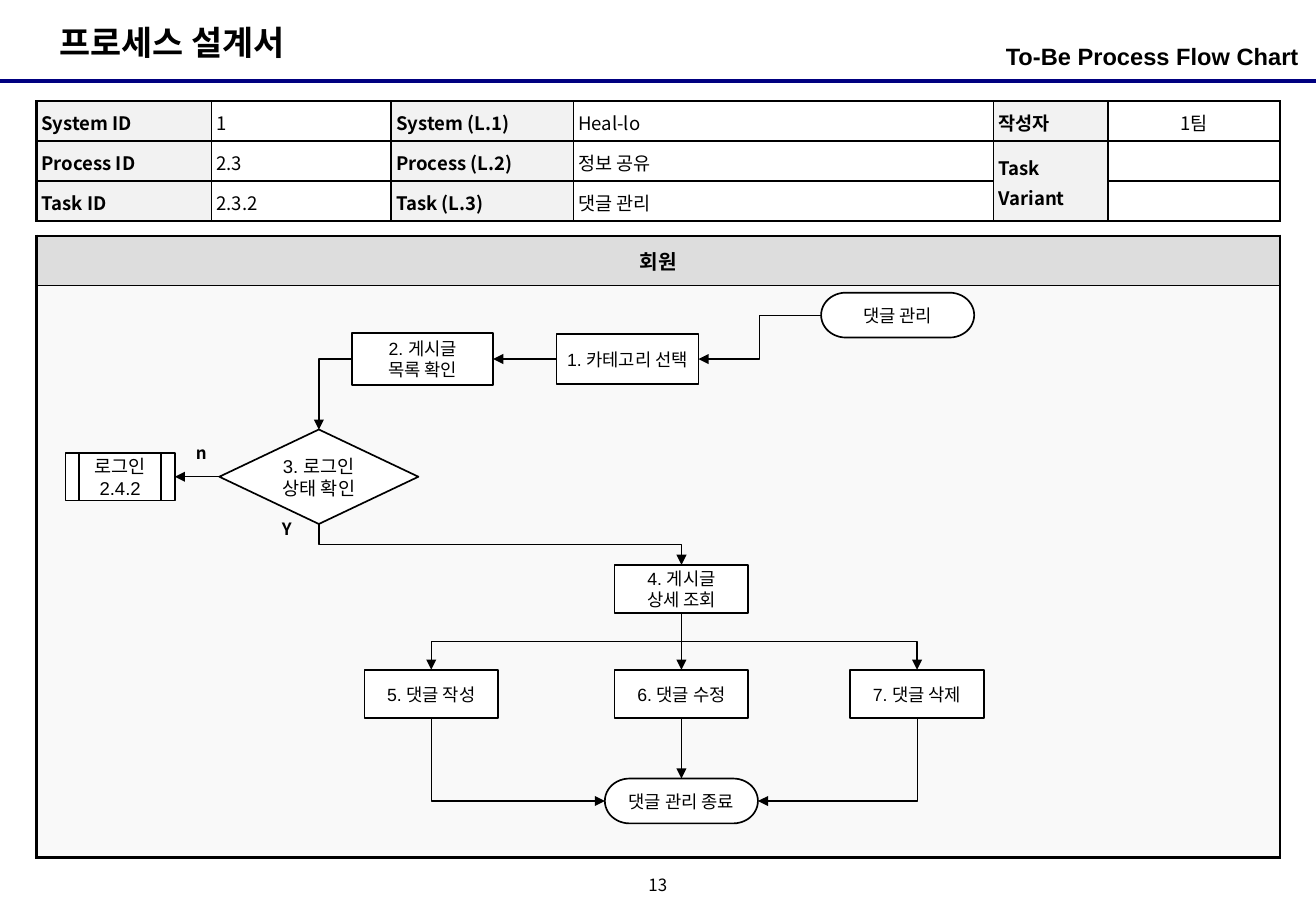
from dataclasses import dataclass

from lxml.etree import SubElement
from pptx import Presentation
from pptx.dml.color import RGBColor
from pptx.enum.shapes import MSO_CONNECTOR as Connector, MSO_SHAPE as Preset
from pptx.enum.text import MSO_ANCHOR as Anchor, MSO_AUTO_SIZE as AutoSize, PP_ALIGN as Align
from pptx.oxml.ns import qn
from pptx.util import Pt


@dataclass(frozen=True)
class Theme:
    ink: str = "000000"
    paper: str = "FFFFFF"
    rule: str = "000080"
    label_fill: str = "F2F2F2"
    lane_head: str = "DDDDDD"
    lane_body: str = "F9F9F9"
    sans: str = "Arial"
    korean: str = "Noto Sans CJK KR"
    title: float = 20
    subtitle: float = 14
    lane: float = 12
    info: float = 11
    step: float = 10.5
    small: float = 10


THEME = Theme()
TOP, LEFT, BOTTOM, RIGHT = range(4)
TABLE_LEFT = 21.6
INFO_COLUMNS = (103.7, 106.6, 108, 249.1, 67.7, 102.2)
INFO_ROWS = (
    ("System ID", "1", "System (L.1)", "Heal-lo", "작성자", "1팀"),
    ("Process ID", "2.3", "Process (L.2)", "정보 공유", "Task Variant", ""),
    ("Task ID", "2.3.2", "Task (L.3)", "댓글 관리", "", ""),
)
TERMINAL_SIZE = (90.7, 26.6)
TASK_SIZE = (79.2, 28.8)
MIDDLE_X = 403.9
ENTRY_Y, LOGIN_Y, TASK_Y = 212.8, 282.6, 411.4
STEPS = {
    "start": (Preset.FLOWCHART_TERMINATOR, "댓글 관리", 532.1, 186.8, TERMINAL_SIZE),
    "category": (Preset.RECTANGLE, "1. 카테고리 선택", 371.9, ENTRY_Y, (84.2, 29.5)),
    "posts": (Preset.RECTANGLE, "2. 게시글\n목록 확인", 250.6, ENTRY_Y, (83.5, 31)),
    "check": (Preset.FLOWCHART_DECISION, "3. 로그인\n상태 확인", 189, LOGIN_Y, (118, 56)),
    "login": (Preset.FLOWCHART_PREDEFINED_PROCESS, "로그인\n2.4.2", 71.3, LOGIN_Y, (64.8, 28.1)),
    "detail": (Preset.RECTANGLE, "4. 게시글\n상세 조회", MIDDLE_X, 349.2, TASK_SIZE),
    "write": (Preset.RECTANGLE, "5. 댓글 작성", 255.6, TASK_Y, TASK_SIZE),
    "edit": (Preset.RECTANGLE, "6. 댓글 수정", MIDDLE_X, TASK_Y, TASK_SIZE),
    "delete": (Preset.RECTANGLE, "7. 댓글 삭제", 543.6, TASK_Y, TASK_SIZE),
    "end": (Preset.FLOWCHART_TERMINATOR, "댓글 관리 종료", MIDDLE_X, 474.8, TERMINAL_SIZE),
}
STRAIGHT_FLOWS = (
    ("category", LEFT, "posts", RIGHT),
    ("check", LEFT, "login", RIGHT),
    ("detail", BOTTOM, "edit", TOP),
    ("edit", BOTTOM, "end", TOP),
)
BENT_FLOWS = (
    ("start", LEFT, "category", RIGHT),
    ("posts", LEFT, "check", TOP),
    ("check", BOTTOM, "detail", TOP),
    ("detail", BOTTOM, "write", TOP),
    ("detail", BOTTOM, "delete", TOP),
    ("write", BOTTOM, "end", LEFT),
    ("delete", BOTTOM, "end", RIGHT),
)


def set_text(frame, text, size, bold=False, align=Align.LEFT, latin=THEME.korean, spacing=None):
    frame.text = text
    for paragraph in frame.paragraphs:
        paragraph.alignment = align
        paragraph.line_spacing = spacing
        font = paragraph.font
        font.size, font.bold, font.name = Pt(size), bold, latin
        font.color.rgb = RGBColor.from_string(THEME.ink)
        defaults = paragraph._p.pPr.find(qn("a:defRPr"))
        SubElement(defaults, qn("a:ea"), typeface=THEME.korean)
        if not text:
            SubElement(paragraph._p, qn("a:endParaRPr"), sz=str(int(size * 100)))


def set_insets(holder, horizontal, vertical):
    holder.margin_left = holder.margin_right = Pt(horizontal)
    holder.margin_top = holder.margin_bottom = Pt(vertical)


def add_label(slide, text, box, size, bold=True, align=Align.LEFT, latin=THEME.korean,
              insets=(7.2, 3.6), anchor=Anchor.TOP):
    frame = slide.shapes.add_textbox(*map(Pt, box)).text_frame
    frame.word_wrap = True
    frame.vertical_anchor = anchor
    set_insets(frame, *insets)
    set_text(frame, text, size, bold, align, latin)


def set_title(slide, text):
    title = slide.shapes.title
    title.left, title.top, title.width, title.height = map(Pt, (28, 9.4, 162, 31.7))
    frame = title.text_frame
    frame.word_wrap = False
    frame.auto_size = AutoSize.NONE
    frame.vertical_anchor = Anchor.TOP
    set_insets(frame, 7.2, 3.6)
    set_text(frame, text, THEME.title, True)


def style_line(connector, color, width):
    connector.line.color.rgb = RGBColor.from_string(color)
    connector.line.width = Pt(width)
    SubElement(connector.element.spPr, qn("a:effectLst"))


def add_table(slide, top, widths, heights):
    frame = slide.shapes.add_table(len(heights), len(widths), Pt(TABLE_LEFT), Pt(top),
                                   Pt(sum(widths)), Pt(sum(heights)))
    table = frame.table
    table.first_row = table.horz_banding = False
    for column, width in zip(table.columns, widths):
        column.width = Pt(width)
    for row, height in zip(table.rows, heights):
        row.height = Pt(height)
    return table


def style_cell(table, row, column, fill, inner):
    cell = table.cell(row, column)
    outer = {
        "L": column == 0,
        "R": column == len(table.columns) - 1,
        "T": row == 0,
        "B": row == len(table.rows) - 1,
    }
    properties = cell._tc.get_or_add_tcPr()
    for side, is_outer in outer.items():
        width = Pt(1.5 if is_outer else inner)
        line = SubElement(properties, qn(f"a:ln{side}"), w=str(int(width)))
        paint = SubElement(line, qn("a:solidFill"))
        SubElement(paint, qn("a:srgbClr"), val=THEME.ink)
    cell.fill.solid()
    cell.fill.fore_color.rgb = RGBColor.from_string(fill)
    cell.vertical_anchor = Anchor.MIDDLE
    return cell


def add_lane(slide, name):
    table = add_table(slide, 139.7, (sum(INFO_COLUMNS),), (29.5, 339.1))
    head = style_cell(table, 0, 0, THEME.lane_head, 0.75)
    set_text(head.text_frame, name, THEME.lane, True, Align.CENTER)
    style_cell(table, 1, 0, THEME.lane_body, 0.75)


def add_info(slide):
    table = add_table(slide, 60, INFO_COLUMNS, (23.7,) * len(INFO_ROWS))
    for row, texts in enumerate(INFO_ROWS):
        for column, text in enumerate(texts):
            is_label = column % 2 == 0
            cell = style_cell(table, row, column, THEME.label_fill if is_label else THEME.paper, 1)
            set_insets(cell, 2.88, 2.88)
            align = Align.CENTER if column == len(texts) - 1 else Align.LEFT
            set_text(cell.text_frame, text, THEME.info, is_label, align, spacing=1.1)
    table.cell(1, 4).merge(table.cell(2, 4))


def add_step(slide, preset, text, center_x, center_y, size):
    width, height = size
    shape = slide.shapes.add_shape(preset, Pt(center_x - width / 2), Pt(center_y - height / 2),
                                   Pt(width), Pt(height))
    shape.shadow.inherit = False
    shape.fill.solid()
    shape.fill.fore_color.rgb = RGBColor.from_string(THEME.paper)
    shape.line.color.rgb = RGBColor.from_string(THEME.ink)
    shape.line.width = Pt(1)
    frame = shape.text_frame
    frame.word_wrap = preset != Preset.FLOWCHART_DECISION
    frame.vertical_anchor = Anchor.MIDDLE
    set_insets(frame, 1.44, 0)
    is_login = preset in (Preset.FLOWCHART_DECISION, Preset.FLOWCHART_PREDEFINED_PROCESS)
    set_text(frame, text, THEME.info if is_login else THEME.step, False, Align.CENTER, THEME.sans)
    return shape


def add_flow(slide, kind, source, source_site, target, target_site):
    connector = slide.shapes.add_connector(kind, 0, 0, 0, 0)
    connector.begin_connect(source, source_site)
    connector.end_connect(target, target_site)
    style_line(connector, THEME.ink, 0.75)
    SubElement(connector.element.spPr.find(qn("a:ln")), qn("a:tailEnd"), type="triangle")
    return connector


def bend_flow(connector, source_site, target_site):
    goes_right = connector.end_x > connector.begin_x
    starts_down = source_site == BOTTOM
    left, top, width, height = connector.left, connector.top, connector.width, connector.height
    turn, flip_h, flip_v = 180, False, True
    if starts_down:
        turn, flip_h, flip_v = (270, True, False) if goes_right else (90, False, False)
        connector.left = left + (width - height) // 2
        connector.top = top + (height - width) // 2
        connector.width, connector.height = height, width
    properties = connector.element.spPr
    transform = properties.find(qn("a:xfrm"))
    transform.set("rot", str(turn * 60000))
    transform.set("flipH", str(int(flip_h)))
    transform.set("flipV", str(int(flip_v)))
    if starts_down != (target_site == TOP):
        properties.find(qn("a:prstGeom")).set("prst", "bentConnector2")


def main():
    presentation = Presentation()
    presentation.slide_width, presentation.slide_height = Pt(780), Pt(540)
    slide = presentation.slides.add_slide(presentation.slide_layouts[5])
    rule = slide.shapes.add_connector(Connector.STRAIGHT, 0, Pt(48), Pt(780), Pt(48))
    style_line(rule, THEME.rule, 2.25)
    set_title(slide, "프로세스 설계서")
    add_label(slide, "13", (378, 515.2, 23.8, 18), THEME.small, False, Align.CENTER,
              insets=(0, 0), anchor=Anchor.MIDDLE)
    add_label(slide, "To-Be Process Flow Chart", (531.5, 21, 238.3, 28.1), THEME.subtitle,
              align=Align.RIGHT, latin=THEME.sans, insets=(0, 3.6))
    add_lane(slide, "회원")
    add_info(slide)
    steps = {name: add_step(slide, *step) for name, step in STEPS.items()}
    add_label(slide, "n", (109, 259, 24.5, 19.4), THEME.small)
    add_label(slide, "Y", (160, 304, 23, 19.4), THEME.small)
    for source, source_site, target, target_site in STRAIGHT_FLOWS:
        add_flow(slide, Connector.STRAIGHT, steps[source], source_site, steps[target], target_site)
    for source, source_site, target, target_site in BENT_FLOWS:
        flow = add_flow(slide, Connector.ELBOW, steps[source], source_site, steps[target], target_site)
        bend_flow(flow, source_site, target_site)
    presentation.save("out.pptx")


if __name__ == "__main__":
    main()
